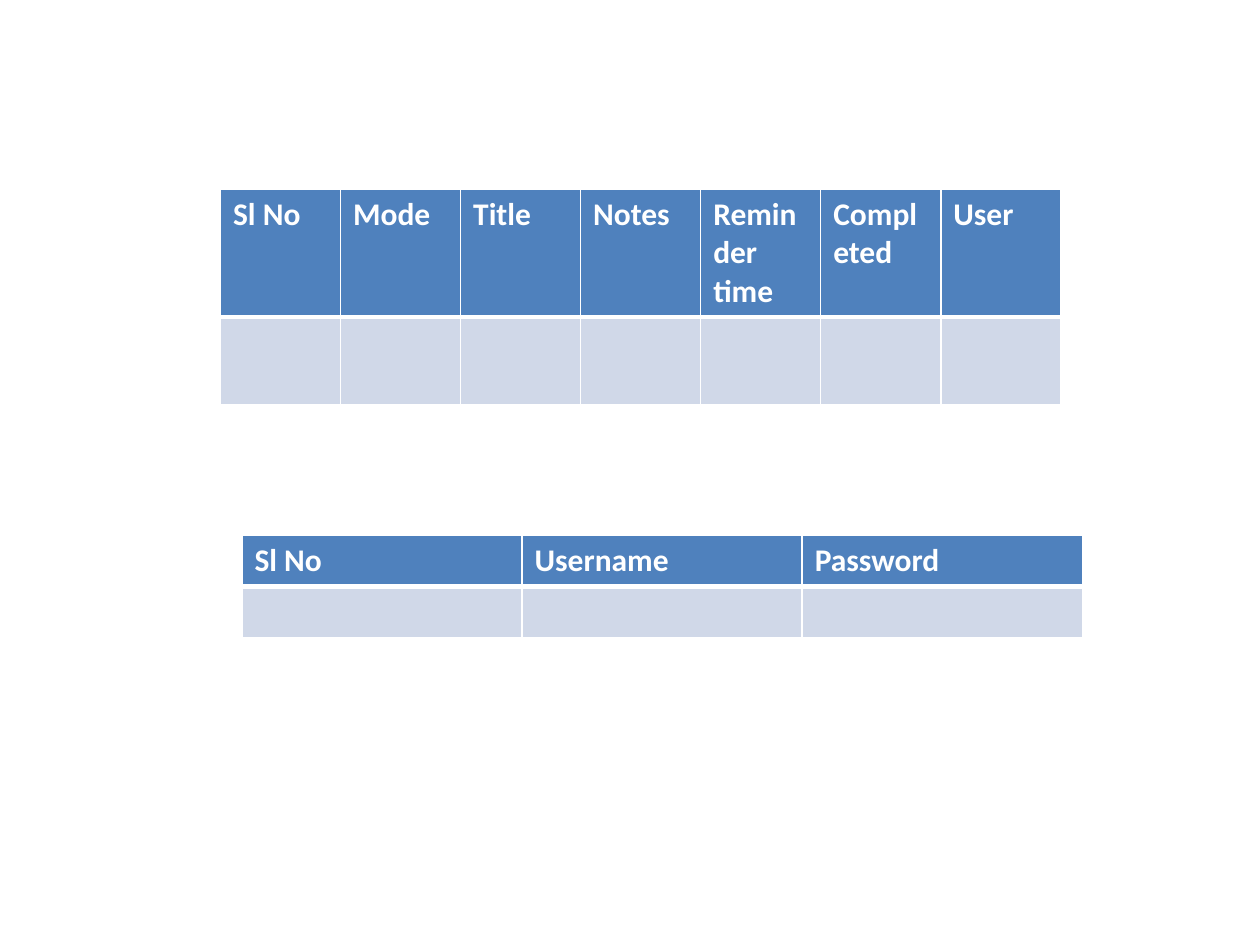
import pptx
import pptx.util
import pptx.dml.color
import pptx.oxml
import pptx.oxml.ns

Inches = pptx.util.Inches
Color = pptx.dml.color.RGBColor.from_string

tables = [
    {"heads": ["Sl No", "Mode", "Title", "Notes", "Reminder time", "Completed", "User"],
     "left": 1.75, "top": 1.5, "row": 0.7},
    {"heads": ["Sl No", "Username", "Password"],
     "left": 1.92, "top": 4.25, "row": 0.4},
]
width = 6.67
theme = {
    "head": "4F81BD",
    "body": "D0D8E8",
    "line": "FFFFFF",
    "font": {"name": "Calibri", "size": pptx.util.Pt(18), "bold": True},
    "text": "FFFFFF",
    "thin": 1,
    "thick": 3,
}


def border(cell, sides):
    props = cell._tc.get_or_add_tcPr()
    for place, (side, size) in enumerate(sides.items()):
        line = pptx.oxml.parse_xml(
            f'<a:ln{side} {pptx.oxml.ns.nsdecls("a")} w="{pptx.util.Pt(size)}">'
            f'<a:solidFill><a:srgbClr val="{theme["line"]}"/></a:solidFill></a:ln{side}>')
        props.insert(place, line)


def style(cell, fill, sides):
    cell.fill.solid()
    cell.fill.fore_color.rgb = Color(fill)
    border(cell, sides)
    font = cell.text_frame.paragraphs[0].font
    for key, value in theme["font"].items():
        setattr(font, key, value)
    font.color.rgb = Color(theme["text"])


deck = pptx.Presentation()
deck.slide_width, deck.slide_height = Inches(10), Inches(7.5)
slide = deck.slides.add_slide(deck.slide_layouts[6])
thin, thick = theme["thin"], theme["thick"]

for item in tables:
    heads = item["heads"]
    grid = slide.shapes.add_table(
        2, len(heads), Inches(item["left"]), Inches(item["top"]),
        Inches(width), Inches(2 * item["row"])).table
    grid.horz_banding = False
    for col, head in enumerate(heads):
        grid.columns[col].width = Inches(width / len(heads))
        top, low = grid.cell(0, col), grid.cell(1, col)
        top.text = head
        style(top, theme["head"], {"L": thin, "R": thin, "T": thin, "B": thick})
        style(low, theme["body"], {"L": thin, "R": thin, "T": thick, "B": thin})

deck.save("out.pptx")
